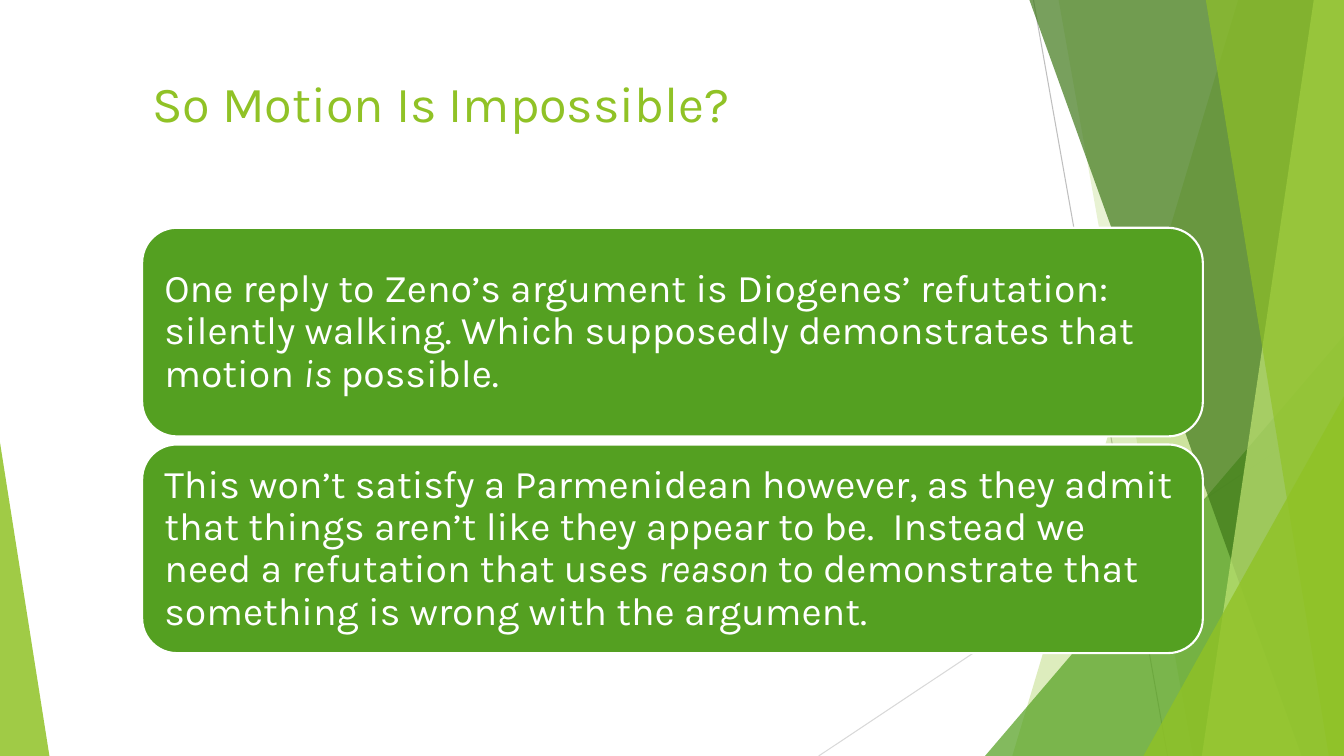
from lxml.etree import SubElement
from pptx import Presentation
from pptx.dml.color import RGBColor
from pptx.enum.shapes import MSO_CONNECTOR, MSO_SHAPE
from pptx.enum.text import MSO_ANCHOR, PP_ALIGN
from pptx.oxml.ns import qn
from pptx.util import Inches, Pt

COLORS = {
    "lime": "90C226", "green": "54A021", "forest": "3F7819", "pale": "C0E474",
    "silver": "BFBFBF", "mist": "D9D9D9", "white": "FFFFFF",
}
FRAME = {"word_wrap": True, "margin_left": Inches(0.12), "margin_right": Inches(0.12),
         "margin_top": Inches(0.12), "margin_bottom": Inches(0.12),
         "vertical_anchor": MSO_ANCHOR.MIDDLE}
TITLE_FRAME = {"word_wrap": True, "margin_left": Inches(0.1), "margin_right": Inches(0.1),
               "margin_top": Inches(0.05), "margin_bottom": Inches(0.05),
               "vertical_anchor": MSO_ANCHOR.TOP}
TITLE_FONT = {"name": "Karla", "size": Pt(36), "bold": False}
CARD_FONT = {"name": "Karla", "size": Pt(28)}

CARDS = [
    [("One reply to Zeno’s argument is Diogenes’ refutation: silently walking. "
      "Which supposedly demonstrates that motion ", False),
     ("is ", True), ("possible.", False)],
    [("This won’t satisfy a Parmenidean however, as they admit that things aren’t like "
      "they appear to be.  Instead we need a refutation that uses ", False),
     ("reason", True),
     (" to demonstrate that something is wrong with the argument.", False)],
]


def rgb(name):
    """Return the named palette colour."""
    return RGBColor.from_string(COLORS[name])


def apply(target, values):
    """Set every attribute in values on the target."""
    for name, value in values.items():
        setattr(target, name, value)


def paint(shape, color, opacity=100):
    """Give a shape a flat fill with no line or shadow."""
    shape.shadow.inherit = False
    shape.line.fill.background()
    shape.fill.solid()
    shape.fill.fore_color.rgb = rgb(color)
    if opacity < 100:
        tint = shape.fill._xPr.find(qn("a:solidFill"))[0]
        SubElement(tint, qn("a:alpha"), val=str(opacity * 1000))


def add_hairline(page, start, end, color):
    """Draw a thin straight line between two points."""
    line = page.shapes.add_connector(
        MSO_CONNECTOR.STRAIGHT, *(Inches(value) for value in start + end))
    line.line.color.rgb = rgb(color)
    line.line.width = Pt(0.75)
    SubElement(line.element.spPr, qn("a:effectLst"))


def add_band(page, box, top_x, bottom_x, color, opacity):
    """Draw a slanted band from two left corners to the right edge of the box."""
    left, top, width, height = box
    right, bottom = left + width, top + height
    corners = [(Inches(x), Inches(y)) for x, y in (
        (left + top_x, top), (right, top), (right, bottom), (left + bottom_x, bottom))]
    builder = page.shapes.build_freeform(*corners[0])
    builder.add_line_segments(corners[1:], close=True)
    paint(builder.convert_to_shape(), color, opacity)


def add_corner(page, box, width, height, apex, color, opacity):
    """Draw a right triangle in the bottom left (apex 0) or right (apex 1) corner."""
    left, top, box_width, box_height = box
    corner = page.shapes.add_shape(
        MSO_SHAPE.ISOSCELES_TRIANGLE, Inches(left + apex * (box_width - width)),
        Inches(top + box_height - height), Inches(width), Inches(height))
    corner.adjustments[0] = apex
    paint(corner, color, opacity)


def add_backdrop(page, box):
    """Layer the faceted green decoration over the box."""
    left, top, width, height = box
    right, bottom = left + width, top + height
    add_hairline(page, (left + 10.25, top), (left + 11.58, bottom), "silver")
    add_hairline(page, (right, top + 4.03), (left + 8.12, bottom), "mist")
    add_band(page, box, 12.28, 10.04, "lime", 30)
    add_band(page, box, 10.5, 11.83, "lime", 20)
    add_corner(page, box, 3.56, 4.17, 1, "green", 72)
    add_band(page, box, 10.21, 12.91, "forest", 70)
    add_band(page, box, 13.03, 11.92, "pale", 70)
    add_band(page, box, 11.96, 13.18, "lime", 65)
    add_corner(page, box, 1.99, 3.57, 1, "lime", 80)
    add_corner(page, box, 0.49, 3.11, 0, "lime", 85)


def add_title(page, box, text):
    """Place the title placeholder in the box, in front of the backdrop."""
    title = page.shapes.title
    page.shapes.element.append(title.element)
    apply(title, dict(zip(("left", "top", "width", "height"), map(Inches, box))))
    apply(title.text_frame, TITLE_FRAME)
    para = title.text_frame.paragraphs[0]
    para.text = text
    para.alignment = PP_ALIGN.LEFT
    apply(para.font, TITLE_FONT)
    para.font.color.rgb = rgb("lime")


def add_cards(page, box, cards, gap):
    """Stack equal rounded cards down the box."""
    left, top, width, height = box
    card_height = (height - gap * (len(cards) - 1)) / len(cards)
    for index, spans in enumerate(cards):
        card = page.shapes.add_shape(
            MSO_SHAPE.ROUNDED_RECTANGLE, Inches(left),
            Inches(top + index * (card_height + gap)), Inches(width), Inches(card_height))
        paint(card, "green")
        card.line.color.rgb = rgb("white")
        card.line.width = Pt(1.5)
        apply(card.text_frame, FRAME)
        para = card.text_frame.paragraphs[0]
        apply(para, {"alignment": PP_ALIGN.LEFT, "line_spacing": 0.9})
        for text, italic in spans:
            span = para.add_run()
            span.text = text
            apply(span.font, {**CARD_FONT, "italic": italic})
            span.font.color.rgb = rgb("white")


def main():
    """Build the one-slide deck."""
    deck = Presentation()
    apply(deck, {"slide_width": Inches(13.33), "slide_height": Inches(7.5)})
    page = deck.slides.add_slide(deck.slide_layouts[5])
    add_backdrop(page, (0, 0, 13.33, 7.5))
    add_title(page, (1.41, 0.67, 11.15, 1.2), "So Motion Is Impossible?")
    add_cards(page, (1.41, 2.26, 10.52, 4.22), CARDS, 0.08)
    deck.save("out.pptx")


if __name__ == "__main__":
    main()
